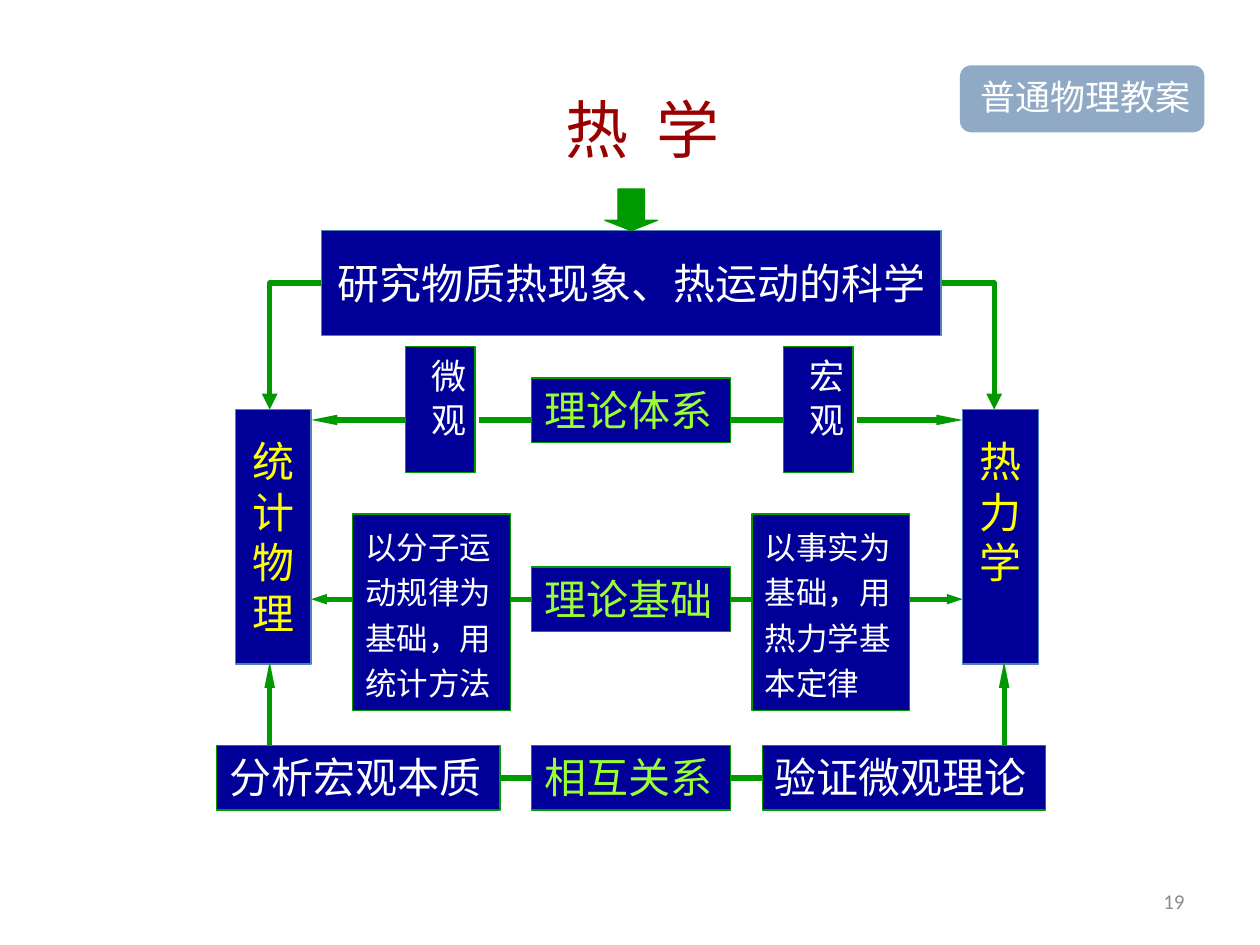
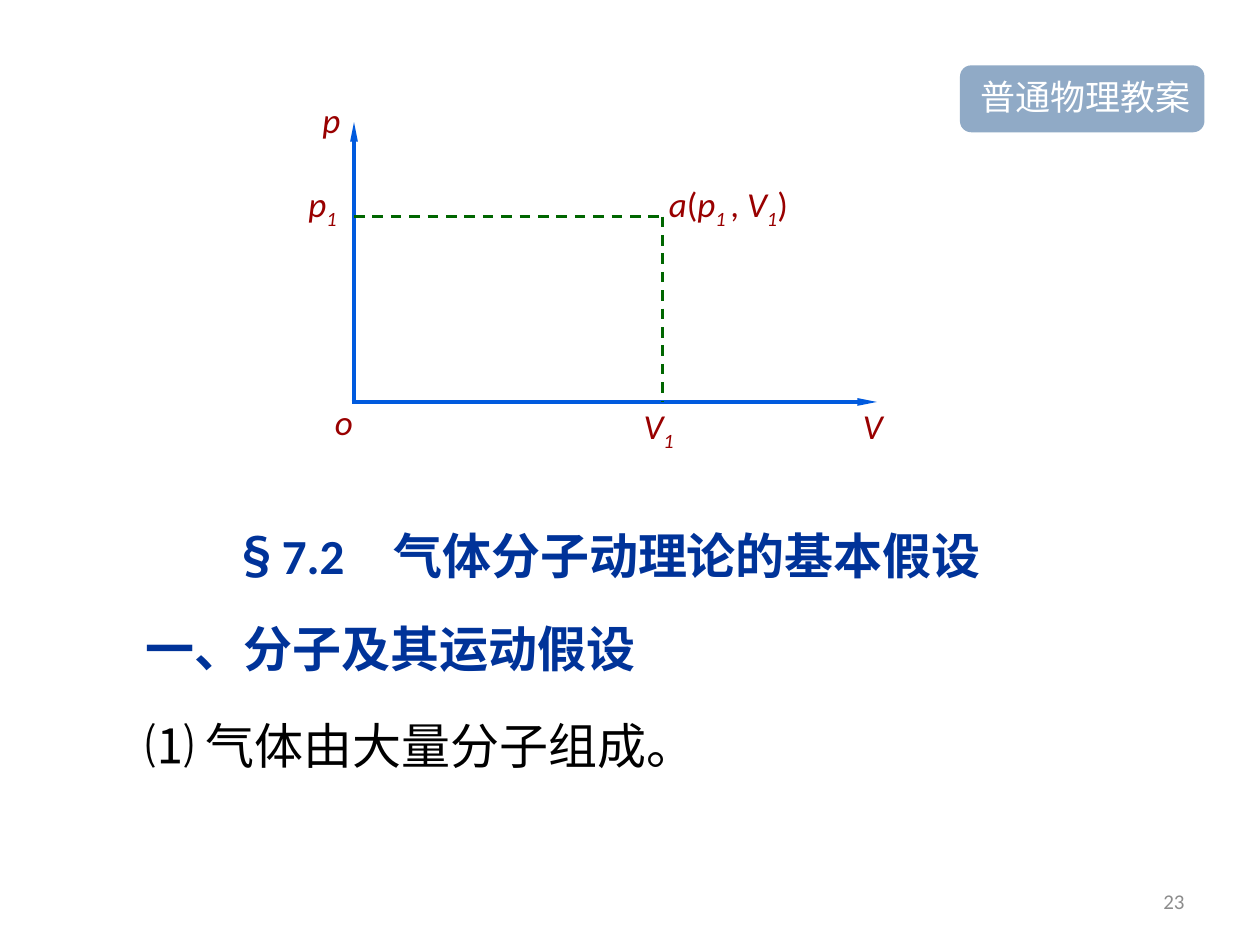
from lxml import etree
from pptx import Presentation
from pptx.dml.color import RGBColor
from pptx.enum.dml import MSO_LINE
from pptx.enum.shapes import MSO_CONNECTOR, MSO_SHAPE
from pptx.enum.text import MSO_ANCHOR, PP_ALIGN
from pptx.oxml.ns import qn
from pptx.util import Pt

RECT, ROUND, DOWN = MSO_SHAPE.RECTANGLE, MSO_SHAPE.ROUNDED_RECTANGLE, MSO_SHAPE.DOWN_ARROW
STRAIGHT, DASH = MSO_CONNECTOR.STRAIGHT, MSO_LINE.DASH
LEFT, CENTER, RIGHT = PP_ALIGN.LEFT, PP_ALIGN.CENTER, PP_ALIGN.RIGHT
TOP, MIDDLE = MSO_ANCHOR.TOP, MSO_ANCHOR.MIDDLE
SIDE_LEFT, SIDE_RIGHT = 1, 3

FONT = "Calibri"
SECTION_FONT = "Noto Sans CJK SC"
TITLE_FONT = "Noto Sans CJK JP"
COLORS = {
    "navy": "000099", "green": "009900", "edge": "4F81BD", "white": "FFFFFF",
    "yellow": "FFFF00", "lime": "99FF33", "red": "990000", "badge": "90AAC6",
    "gray": "8C8C8C", "axis": "005ADE", "dash": "006600", "heading": "003399",
    "black": "000000",
}

BADGE = "普通物理教案"
PAGES = ("19", "23")

TITLE = "热 学"
SUBJECT = "研究物质热现象、热运动的科学"
BRANCHES = [(134.6, ["统计 物 理"]), (550.1, ["热", "力", "学"])]
ASPECTS = [(216, "理论体系"), (324, "理论基础"), (426.2, "相互关系")]
VIEWS = [(231.8, "微 观"), (447.8, "宏 观")]
BASES = [(201.6, "以分子运动规律为基础，用统计方法"),
         (429.8, "以事实为基础，用热力学基本定律")]
ROLES = [(123.8, "分析宏观本质"), (435.6, "验证微观理论")]
BRANCH_Y, BRANCH_W, BRANCH_H = 234, 43.2, 145.4
SUBJECT_BOX = (183.6, 131.8, 354.2, 59.8)
ASPECT_X, ASPECT_W, ROW_H = 303.8, 113.8, 36.8
VIEW_W, BASE_W, ROLE_W = 39.6, 90, 162
ELBOWS = [(183.6, 154.1), (537.8, 568.1)]
RISERS = [154.1, 573.8]

ORIGIN = (202.3, 229.7)
POINT_A = (378.7, 123.8)
AXIS_END = (501.1, 69.8)
SUB, UPRIGHT = {"sub": True}, {"italic": False}
LABELS = [
    (177.1, 52.6, 36, [("p", {})]),
    (169.2, 100.8, 36, [("p", {}), ("1", SUB)]),
    (360.7, 227.5, 36, [("V", {}), ("1", SUB)]),
    (486, 227.5, 36, [("V", {})]),
    (375.1, 100.8, 126, [("a", {}), ("(", UPRIGHT), ("p", {}), ("1 ", SUB),
                         (", ", UPRIGHT), ("V", {}), ("1", SUB), (")", UPRIGHT)]),
    (184.3, 225.4, 36, [("o", {})]),
]
HEADINGS = [
    (126, 296.6, 516, [("§", {"font": SECTION_FONT}),
                       ("7.2　气体分子动理论的基本假设", {})], "heading", True),
    (76.3, 349.9, 454, "一、分子及其运动假设", "heading", True),
    (76.3, 405.4, 533, "⑴ 气体由大量分子组成。", "black", False),
]


def rgb(name):
    return RGBColor.from_string(COLORS[name])


def style(r, size, color, font=FONT, bold=False, italic=False, sub=False):
    r.font.size, r.font.name = Pt(size), font
    r.font.bold, r.font.italic = bold, italic
    r.font.color.rgb = rgb(color)
    if sub:
        r._r.get_or_add_rPr().set("baseline", "-25000")


def write(sp, paragraphs, size, color, align=LEFT, anchor=TOP, inset=(7.2, 3.6),
          spacing=None, **look):
    tf = sp.text_frame
    tf.word_wrap, tf.vertical_anchor = True, anchor
    tf.margin_left = tf.margin_right = Pt(inset[0])
    tf.margin_top = tf.margin_bottom = Pt(inset[1])
    for i, content in enumerate(paragraphs):
        p = tf.add_paragraph() if i else tf.paragraphs[0]
        p.alignment, p.line_spacing = align, spacing
        if isinstance(content, str):
            p.text = content
            style(p.runs[0], size, color, **look)
            continue
        for text, change in content:
            r = p.add_run()
            r.text = text
            style(r, size, color, **{**look, **change})


def shape(s, kind, box, fill, line=None):
    sp = s.shapes.add_shape(kind, *map(Pt, box))
    sp.shadow.inherit = False
    sp.fill.solid()
    sp.fill.fore_color.rgb = rgb(fill)
    if line:
        sp.line.color.rgb = rgb(line)
        sp.line.width = Pt(0.75)
    else:
        sp.line.fill.background()
    return sp


def block(s, box, paragraphs, size, color, line="green", **text):
    sp = shape(s, RECT, box, "navy", line)
    write(sp, paragraphs, size, color, **text)
    return sp


def label(s, box, paragraphs, size, color, **text):
    write(s.shapes.add_textbox(*map(Pt, box)), paragraphs, size, color, **text)


def stroke(sp, color, width, head=None):
    sp.line.color.rgb = rgb(color)
    sp.line.width = Pt(width)
    if head:
        etree.SubElement(sp.line._get_or_add_ln(), qn("a:tailEnd"),
                         type="triangle", w=head[0], len=head[1])


def link(s, start, end, color="green", width=3, head=None, dash=None):
    c = s.shapes.add_connector(STRAIGHT, *map(Pt, start + end))
    stroke(c, color, width)
    if dash:
        c.line.dash_style = dash
    if head:
        stroke(c, color, width, head)
    etree.SubElement(c._element.spPr, qn("a:effectLst"))
    return c


def elbow(s, start, corner):
    top = SUBJECT_BOX[1] + SUBJECT_BOX[3] / 2
    fb = s.shapes.build_freeform(Pt(start), Pt(top))
    fb.add_line_segments([(Pt(corner), Pt(top)), (Pt(corner), Pt(BRANCH_Y))], close=False)
    sp = fb.convert_to_shape()
    sp.shadow.inherit = False
    sp.fill.background()
    stroke(sp, "green", 3, ("med", "med"))


def new_slide(prs, page):
    s = prs.slides.add_slide(prs.slide_layouts[6])
    label(s, (516.2, 500.4, 167.8, 28.8), [page], 12, "gray", align=RIGHT, anchor=MIDDLE)
    shape(s, ROUND, (548.6, 37.4, 139.7, 38.2), "badge")
    label(s, (560.2, 43.2, 139.7, 28.1), [BADGE], 20, "white", inset=(0, 0))
    return s


def heat_map(s):
    for ends in ELBOWS:
        elbow(s, *ends)
    for x, lines in BRANCHES:
        block(s, (x, BRANCH_Y, BRANCH_W, BRANCH_H), lines, 24, "yellow", "edge",
              align=CENTER, inset=(7.2, 15.1))
    block(s, SUBJECT_BOX, [SUBJECT], 24, "white", "edge", align=CENTER, inset=(7.2, 15.1))
    label(s, (298.1, 48.2, 138.2, 50.4), [TITLE], 36, "red", align=CENTER, font=TITLE_FONT)
    title_run = s.shapes[-1].text_frame.paragraphs[0].runs[0]
    title_run._r.get_or_add_rPr().set("spc", "400")
    shape(s, DOWN, (345.6, 108, 30.2, 23.8), "green", "green").adjustments[1] = 0.25

    system, basis, relation = [
        block(s, (ASPECT_X, y, ASPECT_W, ROW_H), [text], 24, "lime") for y, text in ASPECTS]
    for x, text in VIEWS:
        sp = block(s, (x, 198, VIEW_W, 72), [text], 20, "white", align=CENTER,
                   inset=(7.2, 3.6))
        sp.text_frame._txBody.bodyPr.set("vert", "eaVert")
    for x, text in BASES:
        block(s, (x, 293.8, BASE_W, 112.3), [text], 18, "white", spacing=1.2)
    roles = [block(s, (x, ASPECTS[2][0], ROLE_W, ROW_H), [text], 24, "white")
             for x, text in ROLES]

    aspect_right = ASPECT_X + ASPECT_W
    branch_right, thermo = BRANCHES[0][0] + BRANCH_W, BRANCHES[1][0]
    for x1, x2, head in [(273.6, ASPECT_X, None), (aspect_right, VIEWS[1][0], None),
                         (VIEWS[0][0], branch_right, ("sm", "lg")),
                         (489.6, thermo, ("sm", "lg"))]:
        link(s, (x1, 240), (x2, 240), head=head)

    mid = ASPECTS[1][0] + ROW_H / 2
    left_edge, right_edge = BASES[0][0] + BASE_W, BASES[1][0]
    link(s, (ASPECT_X, mid), (left_edge, mid)).begin_connect(basis, SIDE_LEFT)
    link(s, (aspect_right, mid), (right_edge, mid)).begin_connect(basis, SIDE_RIGHT)
    link(s, (BASES[0][0], mid), (branch_right, mid), head=("sm", "med"))
    link(s, (right_edge + BASE_W, mid), (thermo, mid), head=("sm", "med"))

    for first, second in [(roles[0], relation), (relation, roles[1])]:
        c = link(s, (0, 0), (0, 0))
        c.begin_connect(first, SIDE_RIGHT)
        c.end_connect(second, SIDE_LEFT)
    for x in RISERS:
        link(s, (x, ASPECTS[2][0]), (x, 378), head=("sm", "lg"))


def state_diagram(s):
    (x0, y0), (xa, ya) = ORIGIN, POINT_A
    link(s, (x0 - 1.4, y0), (AXIS_END[0], y0), "axis", 2.25, ("sm", "lg"))
    link(s, ORIGIN, (x0, AXIS_END[1]), "axis", 2.25, ("sm", "lg"))
    link(s, (x0, ya), POINT_A, "dash", 1.5, dash=DASH)
    link(s, POINT_A, (xa, y0), "dash", 1.5, dash=DASH)
    for x, y, w, runs in LABELS:
        label(s, (x, y, w, 31), [runs], 20, "red", italic=True)
    for x, y, w, text, color, bold in HEADINGS:
        label(s, (x, y, w, 41), [text], 28, color, bold=bold)


def main():
    prs = Presentation()
    prs.slide_width, prs.slide_height = Pt(720), Pt(540)
    for page, draw in zip(PAGES, (heat_map, state_diagram)):
        draw(new_slide(prs, page))
    prs.save("out.pptx")


if __name__ == "__main__":
    main()
